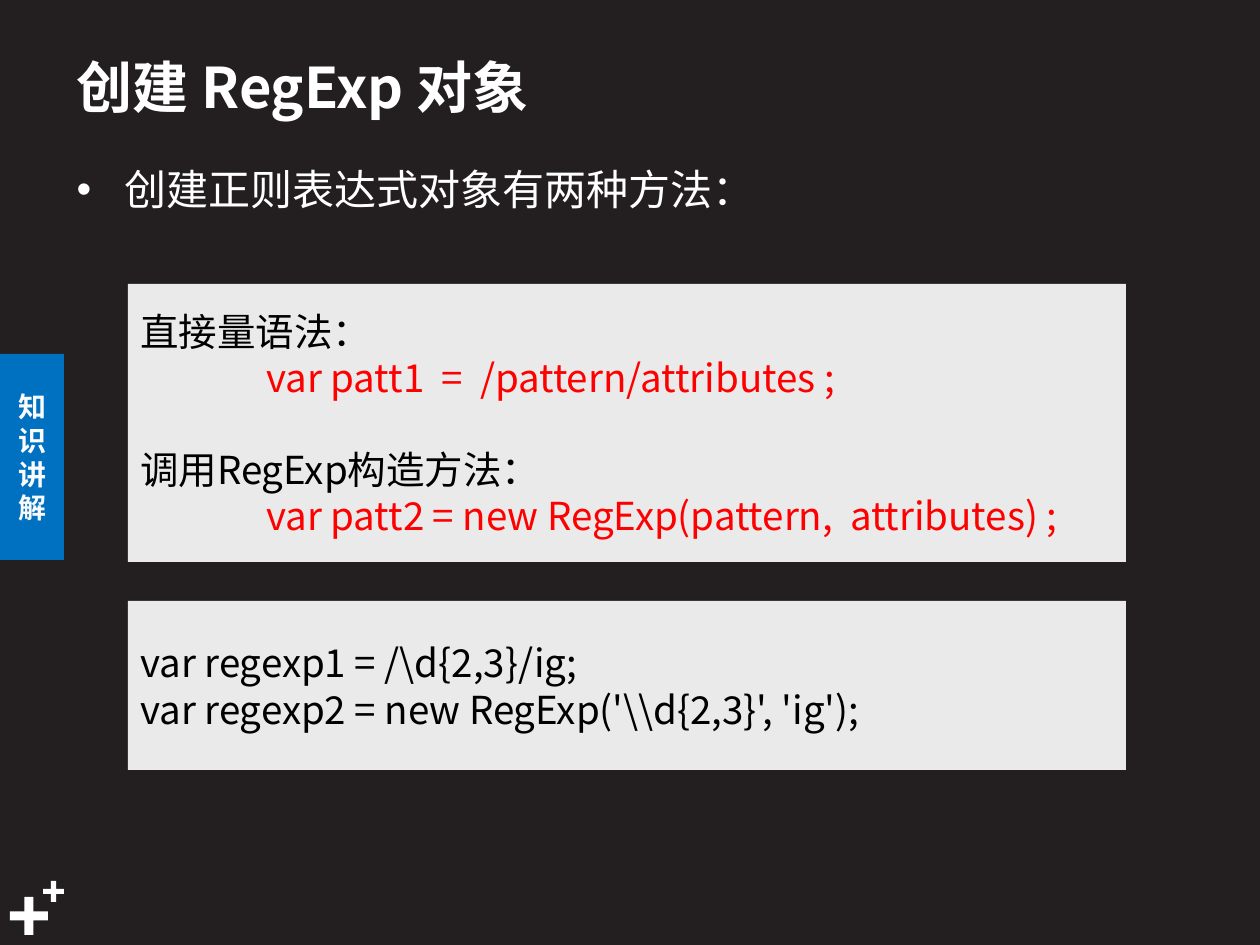
from dataclasses import dataclass

from lxml.etree import SubElement
from pptx import Presentation
from pptx.dml.color import RGBColor
from pptx.enum.shapes import MSO_SHAPE as Preset
from pptx.enum.text import MSO_ANCHOR as Anchor, MSO_AUTO_SIZE as AutoSize, PP_ALIGN as Align
from pptx.oxml.ns import qn
from pptx.util import Emu, Pt


@dataclass(frozen=True)
class Theme:
    font: str = "Noto Sans CJK SC"
    background: str = "231F20"
    white: str = "FFFFFF"
    tab: str = "0070C0"
    tab_text: str = "F9FAFB"
    panel: str = "EAEAEA"
    code: str = "000000"
    syntax: str = "FF0000"
    title_size: int = 32
    body_size: int = 24
    code_size: int = 22
    tab_size: int = 16
    leading: float = 1.2
    body_leading: float = 1.5


THEME = Theme()
PX = 914400 // 126

# Content
TITLE = "创建 RegExp 对象"
BULLET = "创建正则表达式对象有两种方法："
SIDE_TAB = "知识讲解"
METHODS = [
    ("直接量语法：", "var patt1  =  /pattern/attributes ;"),
    ("调用RegExp构造方法：", "var patt2 = new RegExp(pattern,  attributes) ;"),
]
EXAMPLES = [
    r"var regexp1 = /\d{2,3}/ig;",
    r"var regexp2 = new RegExp('\\d{2,3}', 'ig');",
]

# Layout in px: left, top, width, height
TITLE_BOX = (64, 37, 932, 98)
BODY_BOX = (64, 145, 1111, 74)
TAB_BOX = (0, 354, 64, 206)
PANEL_LEFT, PANEL_WIDTH = 128, 998
METHODS_BOX = (PANEL_LEFT, 284, PANEL_WIDTH, 278)
EXAMPLES_BOX = (PANEL_LEFT, 601, PANEL_WIDTH, 169)
PLUS_BOXES = [(10, 897, 38, 38), (43, 881, 21, 21)]
SYNTAX_INDENT = 126
BULLET_INDENT = 48


def px(value):
    return Emu(value * PX)


def place(shape, box):
    shape.left, shape.top, shape.width, shape.height = map(px, box)


def add_shape(slide, preset, box, color):
    shape = slide.shapes.add_shape(preset, *map(px, box))
    shape.shadow.inherit = False
    shape.fill.solid()
    shape.fill.fore_color.rgb = RGBColor.from_string(color)
    shape.line.fill.background()
    return shape


def write(paragraph, text, size, color, bold=False, align=Align.LEFT, leading=THEME.leading):
    paragraph.alignment = align
    paragraph.line_spacing = Pt(size * leading)
    paragraph.space_before = Pt(0)
    run = paragraph.add_run()
    run.text = text
    font = run.font
    font.size, font.bold, font.name = Pt(size), bold, THEME.font
    font.color.rgb = RGBColor.from_string(color)
    SubElement(run._r.rPr, qn("a:ea"), typeface=THEME.font)


def set_indent(paragraph, left, first=0):
    properties = paragraph._p.get_or_add_pPr()
    properties.set("marL", str(px(left)))
    properties.set("indent", str(px(first)))
    return properties


def prepare_frame(shape, anchor=Anchor.MIDDLE):
    frame = shape.text_frame
    frame.word_wrap = True
    frame.auto_size = AutoSize.NONE
    frame.vertical_anchor = anchor
    return frame


def add_panel(slide, box, lines):
    """Each line is (text, colour, indent, space before in points)."""
    frame = prepare_frame(add_shape(slide, Preset.RECTANGLE, box, THEME.panel))
    for index, (text, color, indent, gap) in enumerate(lines):
        paragraph = frame.add_paragraph() if index else frame.paragraphs[0]
        write(paragraph, text, THEME.code_size, color)
        set_indent(paragraph, indent)
        paragraph.space_before = Pt(gap)


def main():
    presentation = Presentation()
    presentation.slide_width, presentation.slide_height = px(1260), px(945)
    slide = presentation.slides.add_slide(presentation.slide_layouts[1])
    slide.background.fill.solid()
    slide.background.fill.fore_color.rgb = RGBColor.from_string(THEME.background)

    # Corner decoration
    for box in PLUS_BOXES:
        plus = add_shape(slide, Preset.CROSS, box, THEME.white)
        plus.adjustments[0] = 0.38

    # Side tab: its narrow width stacks the characters
    tab = prepare_frame(add_shape(slide, Preset.RECTANGLE, TAB_BOX, THEME.tab))
    write(tab.paragraphs[0], SIDE_TAB, THEME.tab_size, THEME.tab_text, True, Align.CENTER)

    # Title
    title = slide.shapes.title
    place(title, TITLE_BOX)
    write(prepare_frame(title).paragraphs[0], TITLE, THEME.title_size, THEME.white, True)

    # Bullet
    body = slide.placeholders[1]
    place(body, BODY_BOX)
    paragraph = prepare_frame(body, Anchor.TOP).paragraphs[0]
    write(paragraph, BULLET, THEME.body_size, THEME.white, leading=THEME.body_leading)
    properties = set_indent(paragraph, BULLET_INDENT, -BULLET_INDENT)
    SubElement(properties, qn("a:buFont"), typeface="Arial")
    SubElement(properties, qn("a:buChar"), char="•")

    # Code panels: one line of space between methods
    method_lines = []
    for index, (label, syntax) in enumerate(METHODS):
        gap = THEME.code_size * THEME.leading if index else 0
        method_lines.append((label, THEME.code, 0, gap))
        method_lines.append((syntax, THEME.syntax, SYNTAX_INDENT, 0))
    add_panel(slide, METHODS_BOX, method_lines)
    add_panel(slide, EXAMPLES_BOX, [(text, THEME.code, 0, 0) for text in EXAMPLES])

    presentation.save("out.pptx")


if __name__ == "__main__":
    main()
